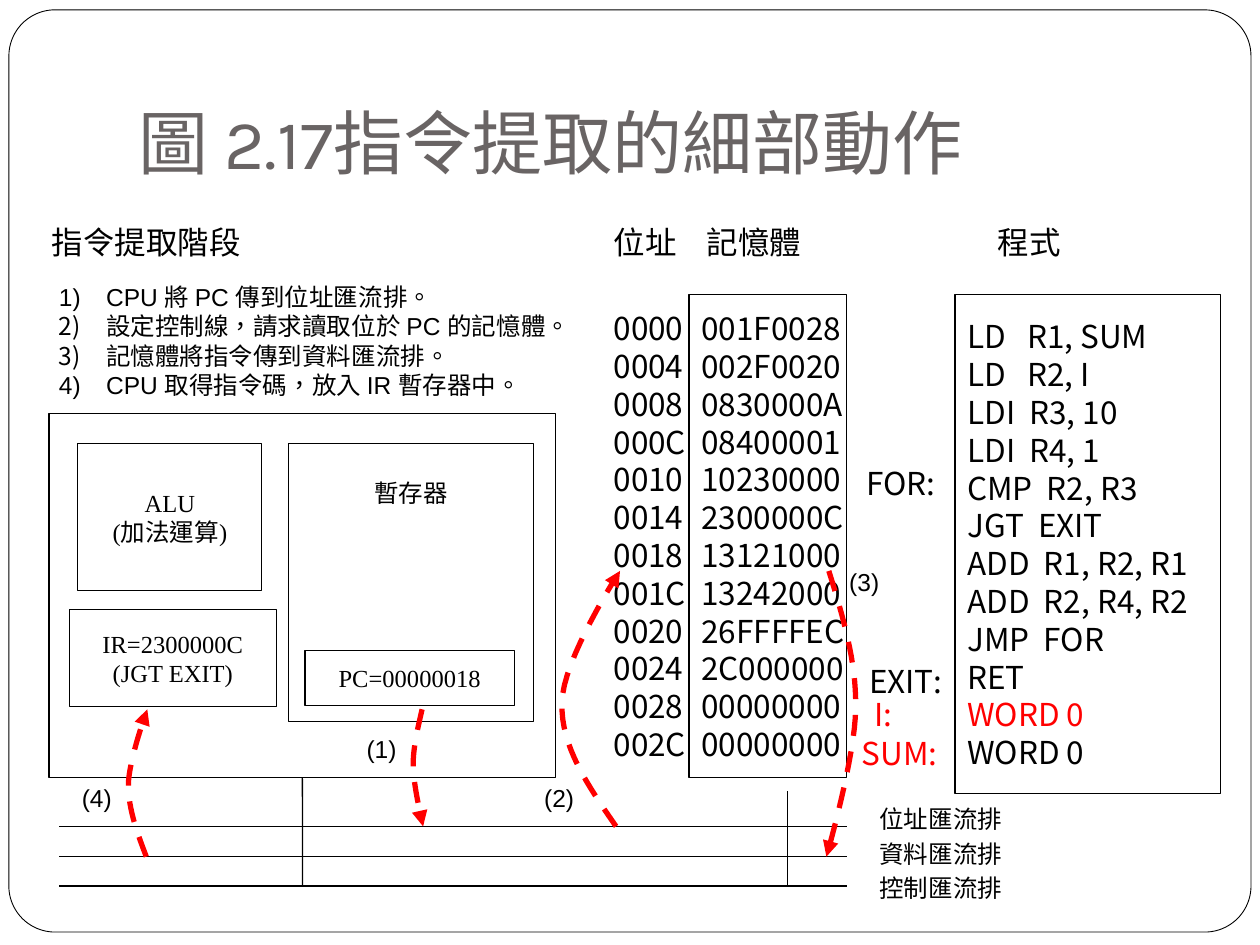
from lxml import etree
from pptx import Presentation
from pptx.dml.color import RGBColor
from pptx.enum.dml import MSO_LINE
from pptx.enum.shapes import MSO_CONNECTOR, MSO_SHAPE
from pptx.enum.text import MSO_ANCHOR, MSO_AUTO_SIZE, PP_ALIGN
from pptx.oxml.ns import qn
from pptx.util import Cm, Pt

RECTANGLE, ROUNDED = MSO_SHAPE.RECTANGLE, MSO_SHAPE.ROUNDED_RECTANGLE
STRAIGHT, DASH = MSO_CONNECTOR.STRAIGHT, MSO_LINE.DASH
LEFT, CENTER = PP_ALIGN.LEFT, PP_ALIGN.CENTER
TOP, MIDDLE, BOTTOM = MSO_ANCHOR.TOP, MSO_ANCHOR.MIDDLE, MSO_ANCHOR.BOTTOM
NO_FIT, GROW = MSO_AUTO_SIZE.NONE, MSO_AUTO_SIZE.SHAPE_TO_FIT_TEXT

THEME = {
    "ink": RGBColor(0, 0, 0), "accent": RGBColor(255, 0, 0),
    "title": RGBColor(0x69, 0x64, 0x64), "paper": RGBColor(255, 255, 255),
    "title_font": "Karla", "code_font": "Noto Sans CJK SC",
    "label_font": "Arial", "part_font": "Times New Roman",
    "title_size": 40, "large": 18, "small": 14, "leading": 1.2,
    "frame_line": 0.5, "line": 0.75, "flow_line": 3,
}

TITLE = "圖 2.17指令提取的細部動作"
HEADINGS = [("指令提取階段", 0.79, 5.16), ("位址", 12.12, 1.78),
            ("記憶體", 14, 2.41), ("程式", 19.86, 1.78)]
STEPS = ["CPU 將 PC 傳到位址匯流排。", "設定控制線，請求讀取位於 PC 的記憶體。",
         "記憶體將指令傳到資料匯流排。", "CPU 取得指令碼，放入 IR 暫存器中。"]
MEMORY = ["001F0028", "002F0020", "0830000A", "08400001", "10230000", "2300000C",
          "13121000", "13242000", "26FFFFEC", "2C000000", "00000000", "00000000"]
ADDRESSES = [f"{4 * row:04X}" for row in range(len(MEMORY))]
PROGRAM = ["LD   R1, SUM", "LD   R2, I", "LDI  R3, 10", "LDI  R4, 1",
           "CMP  R2, R3", "JGT  EXIT", "ADD  R1, R2, R1", "ADD  R2, R4, R2",
           "JMP  FOR", "RET", "WORD 0", "WORD 0"]
RED_PROGRAM_ROW = 10
CPU_PARTS = [
    (["ALU", "(加法運算)"], (1.57, 8.94, 3.71, 2.97), MIDDLE),
    (["暫存器"], (5.82, 8.94, 4.93, 5.61), TOP),
    (["IR=2300000C", "(JGT EXIT)"], (1.4, 12.29, 4.17, 1.96), MIDDLE),
    (["PC=00000018"], (6.15, 13.11, 4.22, 1.12), MIDDLE),
]
PROGRAM_LABELS = [("FOR:", 17.22, 9.22, 1.96, "ink"), ("EXIT:", 17.27, 13.23, 2.13, "ink"),
                  ("I:", 17.37, 13.89, 0.91, "accent"), ("SUM:", 17.12, 14.68, 2.08, "accent")]
BUSES = ["位址匯流排", "資料匯流排", "控制匯流排"]
BUS_LEFT, BUS_RIGHT, BUS_TOP, BUS_STEP = 1.19, 17.07, 16.66, 0.6
FLOWS = [
    ("(1)", (7.14, 14.68), [(8.51, 14.3), (8.43, 14.66), (8.33, 15.04), (8.33, 15.44),
                            (8.33, 15.82), (8.53, 16.66), (8.53, 16.66)]),
    ("(2)", (10.72, 15.67), [(12.42, 16.66), (11.86, 15.85), (11.3, 15.04), (11.33, 14.17),
                             (11.33, 13.31), (12.5, 11.51), (12.5, 11.51)]),
    ("(3)", (16.87, 11.3), [(16.71, 11.51), (16.99, 12.42), (17.27, 13.34), (17.25, 14.27),
                            (17.25, 15.24), (16.66, 17.27), (16.66, 17.27)]),
    ("(4)", (1.4, 15.67), [(2.95, 17.27), (2.77, 16.79), (2.59, 16.33), (2.59, 15.82),
                           (2.59, 15.34), (2.97, 14.3), (2.97, 14.3)]),
]


def style_line(line, color, width):
    line.color.rgb = THEME[color]
    line.width = Pt(THEME[width])


def write(box, rows, font, size, align=LEFT, anchor=TOP, color="ink", red_row=None, numbered=False):
    frame = box.text_frame
    frame.vertical_anchor = anchor
    for index, row in enumerate(rows):
        para = frame.paragraphs[0] if index == 0 else frame.add_paragraph()
        para.alignment = align
        para.line_spacing = Pt(THEME[size] * THEME["leading"])
        if numbered:
            properties = para._p.get_or_add_pPr()
            properties.set("marL", str(Cm(0.95)))
            properties.set("indent", str(-Cm(0.95)))
            etree.SubElement(properties, qn("a:buAutoNum"), type="arabicParenR")
        span = para.add_run()
        span.text = row
        span.font.name = THEME[font]
        span.font.size = Pt(THEME[size])
        span.font.color.rgb = THEME["accent" if index == red_row else color]
        span._r.get_or_add_rPr().set("lang", "zh-TW")


def add_rectangle(page, place):
    box = page.shapes.add_shape(RECTANGLE, *map(Cm, place))
    box.shadow.inherit = False
    box.fill.background()
    style_line(box.line, "ink", "line")
    box.text_frame.word_wrap = False
    return box


def add_label(page, place, rows, font, size, fit=GROW, **options):
    box = page.shapes.add_textbox(*map(Cm, place))
    box.text_frame.word_wrap = False
    box.text_frame.auto_size = fit
    write(box, rows, font, size, **options)


def add_line(page, start, end):
    line = page.shapes.add_connector(STRAIGHT, *map(Cm, start + end))
    etree.SubElement(line._element.spPr, qn("a:effectLst"))
    style_line(line.line, "ink", "line")
    return line


def curve_points(controls, pieces=16):
    for first in range(0, len(controls) - 1, 3):
        a, b, c, d = controls[first:first + 4]
        for piece in range(1, pieces + 1):
            t = piece / pieces
            u = 1 - t
            yield tuple(Cm(u**3 * p + 3 * u * u * t * q + 3 * u * t * t * r + t**3 * s)
                        for p, q, r, s in zip(a, b, c, d))


def add_flow(page, controls):
    builder = page.shapes.build_freeform(*map(Cm, controls[0]))
    builder.add_line_segments(list(curve_points(controls)), close=False)
    flow = builder.convert_to_shape()
    flow.shadow.inherit = False
    flow.fill.background()
    style_line(flow.line, "accent", "flow_line")
    flow.line.dash_style = DASH
    etree.SubElement(flow.line._get_or_add_ln(), qn("a:tailEnd"), type="triangle")


def add_frame_and_title(page):
    frame = page.shapes.add_shape(ROUNDED, Cm(0.18), Cm(0.2), Cm(25.04), Cm(18.59))
    frame.adjustments[0] = 0.05
    frame.shadow.inherit = False
    frame.fill.solid()
    frame.fill.fore_color.rgb = THEME["paper"]
    style_line(frame.line, "ink", "frame_line")
    page.shapes._spTree.insert(2, frame._element)
    title = page.shapes.title
    title.left, title.top, title.width, title.height = map(Cm, (2.54, 0.76, 21.59, 3.18))
    title.text_frame.auto_size = NO_FIT
    title.text_frame.margin_bottom = Cm(0.25)
    write(title, [TITLE], "title_font", "title_size", anchor=BOTTOM, color="title")
    title.text_frame.paragraphs[0].line_spacing = 1.0


def main():
    deck = Presentation()
    deck.slide_width, deck.slide_height = Cm(25.4), Cm(19.05)
    page = deck.slides.add_slide(deck.slide_layouts[5])
    add_frame_and_title(page)

    for text, left, width in HEADINGS:
        add_label(page, (left, 4.37, width, 1.02), [text], "label_font", "large")
    add_label(page, (0.94, 5.56, 11.05, 2.64), STEPS, "label_font", "small", numbered=True)

    cpu = add_rectangle(page, (0.99, 8.33, 10.21, 7.34))
    for rows, place, anchor in CPU_PARTS:
        part = add_rectangle(page, place)
        if anchor == TOP:
            part.text_frame.margin_top = Cm(0.7)
        write(part, rows, "part_font", "small", align=CENTER, anchor=anchor)

    memory = add_rectangle(page, (13.89, 5.94, 3.18, 9.73))
    write(memory, MEMORY, "code_font", "large", anchor=MIDDLE)
    add_label(page, (12.12, 5.94, 1.57, 9.73), ADDRESSES, "code_font", "large",
              fit=NO_FIT, anchor=MIDDLE)
    program = add_rectangle(page, (19.25, 5.94, 5.36, 10.06))
    write(program, PROGRAM, "code_font", "large", anchor=MIDDLE, red_row=RED_PROGRAM_ROW)
    for text, left, top, width, color in PROGRAM_LABELS:
        add_label(page, (left, top, width, 1.02), [text], "code_font", "large", color=color)

    for index, text in enumerate(BUSES):
        height = BUS_TOP + index * BUS_STEP
        add_line(page, (BUS_LEFT, height), (BUS_RIGHT, height))
        add_label(page, (17.48, 16.08 + index * 0.7, 3.1, 0.86), [text], "part_font", "small",
                  fit=NO_FIT)
    bus_bottom = BUS_TOP + (len(BUSES) - 1) * BUS_STEP
    add_line(page, (6.1, 15.67), (6.1, bus_bottom)).begin_connect(cpu, 2)
    add_line(page, (15.88, 15.95), (15.88, bus_bottom))

    for mark, (left, top), controls in FLOWS:
        add_flow(page, controls)
        add_label(page, (left, top, 1.12, 0.86), [mark], "label_font", "small")

    deck.save("out.pptx")


if __name__ == "__main__":
    main()
